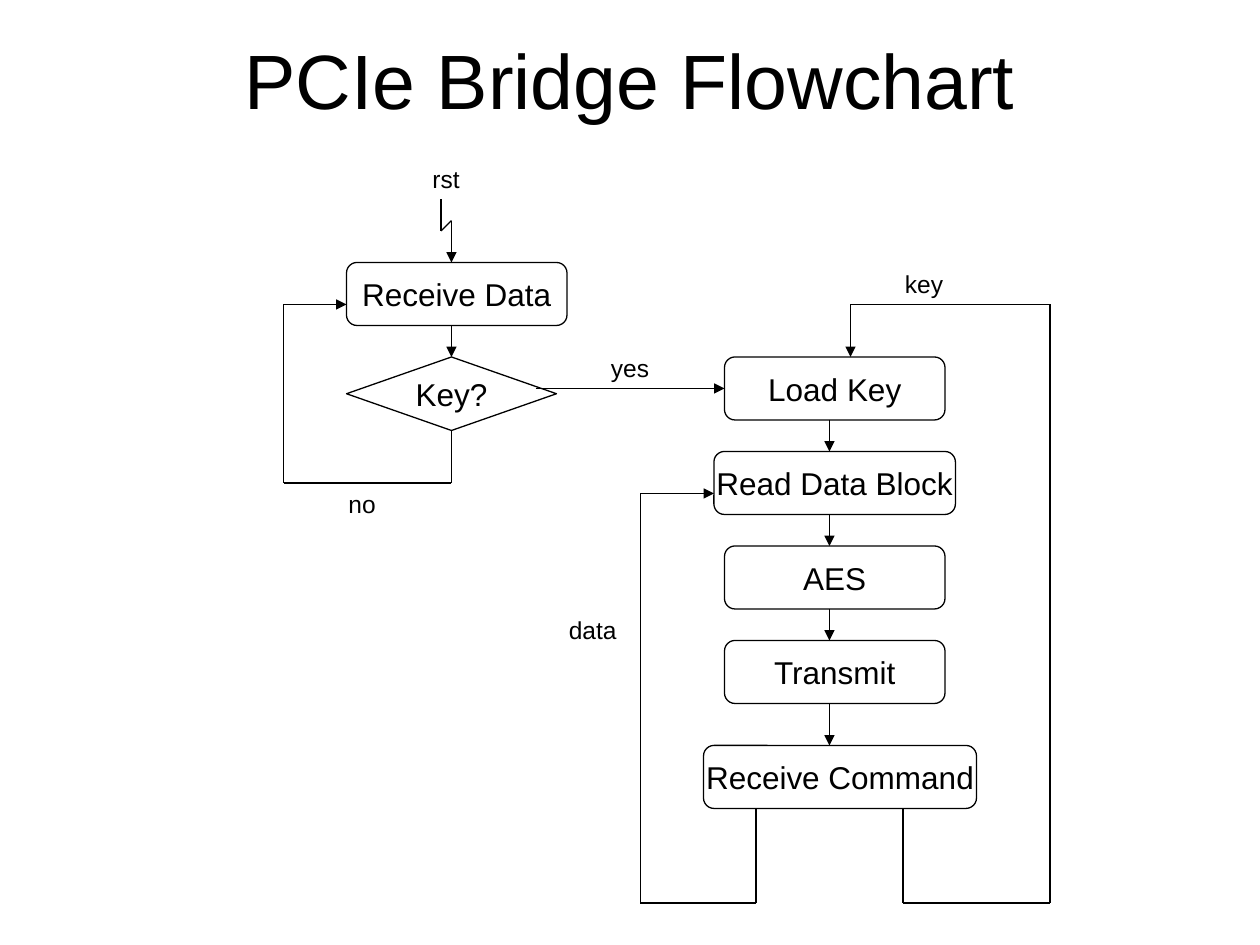
"""Build the PCIe bridge flowchart slide on a grid of twelve steps to the inch."""
from itertools import pairwise

from lxml import etree
from pptx import Presentation, util as u
from pptx.dml.color import RGBColor
from pptx.enum import shapes, text
from pptx.oxml.ns import qn

TITLE = "PCIe Bridge Flowchart"
STEP, NOTE = 6, 4
STEPS = [
    ("Receive Data", 33, 25, 21),
    ("Load Key", 69, 34, 21),
    ("Read Data Block", 68, 43, 23),
    ("AES", 69, 52, 21),
    ("Transmit", 69, 61, 21),
    ("Receive Command", 67, 71, 26),
]
TEST = ("Key?", 33, 34, 20, 7)
NOTES = [
    ("rst", 40, 15, 7),
    ("no", 32, 46, 8),
    ("data", 53, 58, 12),
    ("yes", 57, 33, 12),
    ("key", 85, 25, 12),
]
SPINE = 79
ROUTES = [
    [(42, 19), (42, 22), (43, 21), (43, 25)],
    [(43, 31), (43, 34)],
    [(43, 41), (43, 46), (27, 46), (27, 29), (33, 29)],
    [(51, 37), (69, 37)],
    [(72, 77), (72, 86), (61, 86), (61, 47), (68, 47)],
    [(86, 77), (86, 86), (100, 86), (100, 29), (81, 29), (81, 34)],
]
THEME = {
    "font": "Arial",
    "ink": RGBColor(0, 0, 0),
    "fill": RGBColor(255, 255, 255),
    "line": u.Pt(0.75),
    "title": 44,
    "step": 18,
    "note": 14,
}


def grid(*marks):
    return [u.Cm(mark * 2.54 / 12) for mark in marks]


def write(shape, words, size, align=text.PP_ALIGN.CENTER,
          anchor=text.MSO_ANCHOR.MIDDLE, wrap=True, before=0):
    frame = shape.text_frame
    frame.text = words
    frame.word_wrap = wrap
    frame.vertical_anchor = anchor
    frame.margin_left = frame.margin_right = u.Cm(0.25)
    frame.margin_top = frame.margin_bottom = u.Cm(0.13)
    para = frame.paragraphs[0]
    para.alignment = align
    para.space_before = u.Pt(before)
    font = para.runs[0].font
    font.name, font.size = THEME["font"], u.Pt(size)
    font.color.rgb = THEME["ink"]


def add_box(slide, kind, words, *place):
    box = slide.shapes.add_shape(kind, *grid(*place))
    box.shadow.inherit = False
    box.fill.solid()
    box.fill.fore_color.rgb = THEME["fill"]
    box.line.color.rgb = THEME["ink"]
    box.line.width = THEME["line"]
    write(box, words, THEME["step"], wrap=False)


def add_route(slide, stops):
    for start, end in pairwise(stops):
        wire = slide.shapes.add_connector(
            shapes.MSO_CONNECTOR.STRAIGHT, *grid(*start, *end))
        wire.line.color.rgb = THEME["ink"]
        wire.line.width = THEME["line"]
        props = wire._element.spPr
        etree.SubElement(props, qn("a:effectLst"))
    etree.SubElement(props.find(qn("a:ln")), qn("a:tailEnd"), type="triangle")


def main():
    deck = Presentation()
    deck.slide_width, deck.slide_height = u.Cm(25.4), u.Cm(19.05)
    slide = deck.slides.add_slide(deck.slide_layouts[5])

    title = slide.shapes.title
    title.left, title.top, title.width, title.height = grid(6, 0, 108, 15)
    write(title, TITLE, THEME["title"])

    kind = shapes.MSO_SHAPE
    for words, left, top, width in STEPS:
        add_box(slide, kind.FLOWCHART_ALTERNATE_PROCESS, words,
                left, top, width, STEP)
    add_box(slide, kind.FLOWCHART_DECISION, *TEST)

    tops = [step[2] for step in STEPS[1:]]
    drops = [[(SPINE, top + STEP), (SPINE, below)]
             for top, below in pairwise(tops)]
    for stops in ROUTES + drops:
        add_route(slide, stops)

    for words, *place in NOTES:
        note = slide.shapes.add_textbox(*grid(*place, NOTE))
        write(note, words, THEME["note"], align=text.PP_ALIGN.LEFT,
              anchor=text.MSO_ANCHOR.TOP, before=8.8)

    deck.save("out.pptx")


if __name__ == "__main__":
    main()
